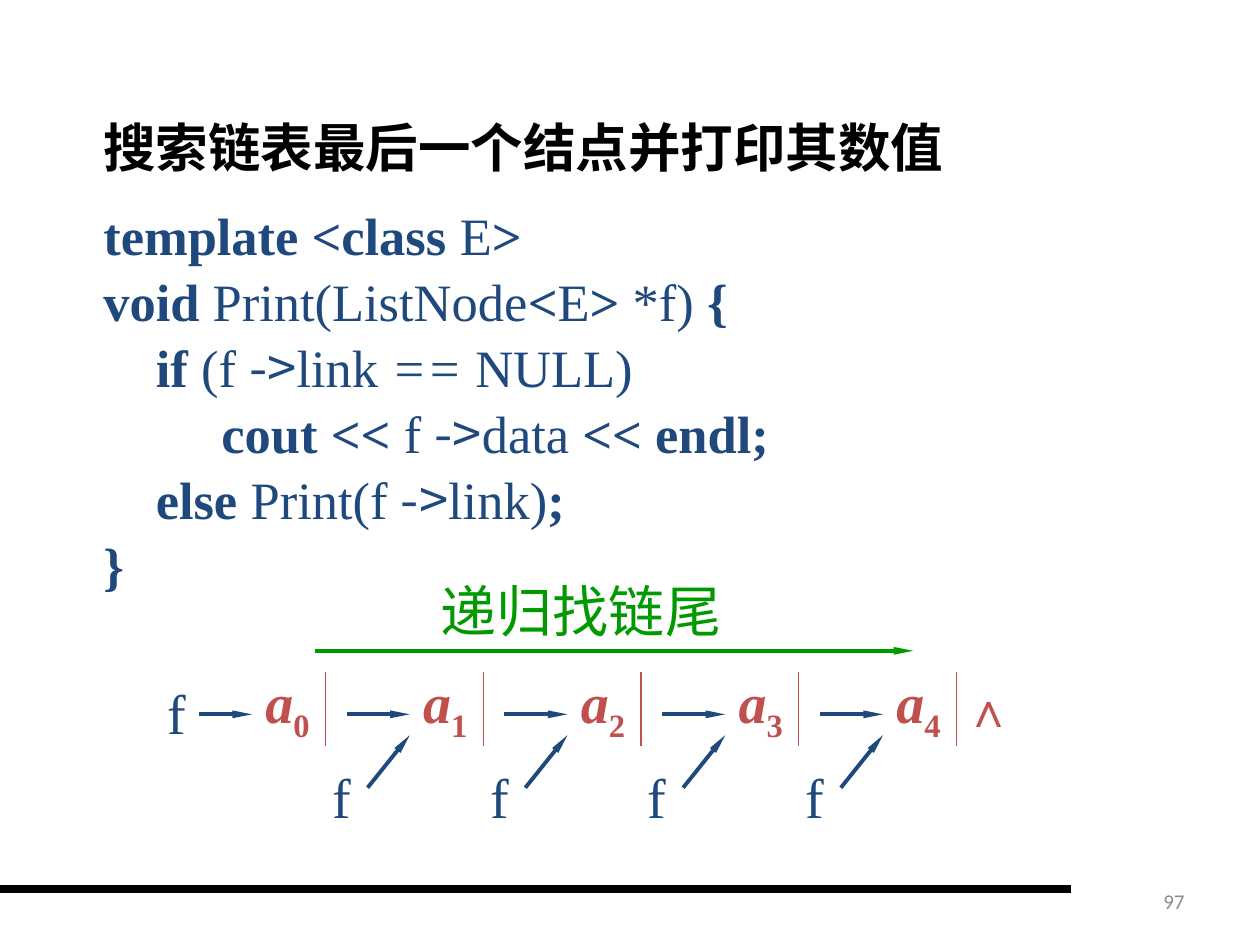
from lxml.etree import SubElement
from pptx import Presentation
from pptx.dml.color import RGBColor
from pptx.enum.shapes import MSO_CONNECTOR
from pptx.enum.text import MSO_ANCHOR as Anchor, MSO_AUTO_SIZE as AutoSize, PP_ALIGN as Align
from pptx.oxml.ns import qn
from pptx.util import Cm, Pt

COLORS = {
    "black": "000000",
    "navy": "1F497D",
    "red": "C0504D",
    "green": "009900",
    "gray": "8C8C8C",
}
SERIF = "Times New Roman"
SANS = "Noto Sans CJK SC"
NODE_COUNT = 5
NODE_PITCH = 3.18
LINK_Y = 14.4

CODE = [
    [("template <class ", "b"), ("E", ""), (">", "b")],
    [("void", "b"), (" Print(ListNode", ""), ("<", "b"), ("E", ""), (">", "b"),
     (" *f) ", ""), ("{", "b")],
    [("    if", "b"), (" (f ", ""), ("->", "s"), ("link ", ""), ("==", "i"), (" NULL)", "")],
    [("         ", ""), ("cout <<", "b"), (" f ", ""), ("->", "s"), ("data ", ""),
     ("<< endl;", "b")],
    [("    else ", "b"), ("Print(f ", ""), ("->", "s"), ("link)", ""), (";", "b")],
    [("}", "b")],
]


def add_run(paragraph, text, size=32, color="navy", name=SERIF, bold=False,
            italic=False, baseline=None):
    run = paragraph.add_run()
    run.text = text
    font = run.font
    font.size = Pt(size)
    font.bold = bold
    font.italic = italic
    font.color.rgb = RGBColor.from_string(COLORS[color])
    font.name = name
    properties = run._r.get_or_add_rPr()
    SubElement(properties, qn("a:ea")).set("typeface", SANS)
    if baseline:
        properties.set("baseline", str(baseline))


class SlideBuilder:
    def __init__(self, slide):
        self.slide = slide

    def place(self, shape, left, top, width, height):
        shape.left, shape.top = Cm(left), Cm(top)
        shape.width, shape.height = Cm(width), Cm(height)
        frame = shape.text_frame
        frame.auto_size = AutoSize.NONE
        frame.vertical_anchor = Anchor.TOP
        return frame

    def title(self, text, *box):
        paragraph = self.place(self.slide.shapes.title, *box).paragraphs[0]
        paragraph.alignment = Align.LEFT
        paragraph.line_spacing = 1.05
        add_run(paragraph, text, size=30, color="black", name=SANS, bold=True)

    def code(self, lines, *box):
        frame = self.place(self.slide.placeholders[1], *box)
        for index, pieces in enumerate(lines):
            paragraph = frame.add_paragraph() if index else frame.paragraphs[0]
            properties = paragraph._p.get_or_add_pPr()
            properties.set("marL", "0")
            properties.set("indent", "0")
            SubElement(properties, qn("a:buNone"))
            paragraph.space_before = Pt(0)
            paragraph.line_spacing = Pt(37.7)
            for text, style in pieces:
                add_run(paragraph, text, size=30, bold=style == "b", italic=style == "i",
                        name=SANS if style == "s" else SERIF)

    def text(self, text, left, top, width, height, wrap=False, align=Align.LEFT,
             anchor=Anchor.TOP, subscript="", **style):
        shape = self.slide.shapes.add_textbox(0, 0, 0, 0)
        frame = self.place(shape, left, top, width, height)
        frame.word_wrap = wrap
        frame.vertical_anchor = anchor
        paragraph = frame.paragraphs[0]
        paragraph.alignment = align
        add_run(paragraph, text, **style)
        if subscript:
            add_run(paragraph, subscript, **{**style, "italic": False, "baseline": -25000})

    def line(self, x1, y1, x2, y2, color="navy", weight=2.25, arrow=True):
        connector = self.slide.shapes.add_connector(
            MSO_CONNECTOR.STRAIGHT, Cm(x1), Cm(y1), Cm(x2), Cm(y2))
        connector.line.color.rgb = RGBColor.from_string(COLORS[color])
        connector.line.width = Pt(weight)
        if arrow:
            tail = SubElement(connector.line._get_or_add_ln(), qn("a:tailEnd"))
            for key, value in (("type", "triangle"), ("w", "sm"), ("len", "lg")):
                tail.set(key, value)
        SubElement(connector._element.spPr, qn("a:effectLst"))

    def node(self, index):
        shift = index * NODE_PITCH
        self.text("a", 5.1 + shift, 13.33, 1.45, 1.6, subscript=str(index),
                  color="red", bold=True, italic=True)
        self.line(6.56 + shift, 13.55, 6.56 + shift, 15.04,
                  color="red", weight=0.75, arrow=False)

    def link(self, index):
        shift = index * NODE_PITCH
        self.line(6.99 + shift, LINK_Y, 8.26 + shift, LINK_Y)
        self.line(7.41 + shift, 15.88, 8.26 + shift, 14.82)
        self.text("f", 6.45 + shift, 15.24, 1.17, 1.6)


def main():
    presentation = Presentation()
    presentation.slide_width, presentation.slide_height = Cm(25.4), Cm(19.05)
    builder = SlideBuilder(presentation.slides.add_slide(presentation.slide_layouts[1]))

    builder.line(0, 17.93, 21.59, 17.93, color="black", weight=4.5, arrow=False)
    builder.text("97", 18.21, 17.65, 5.92, 1.02, wrap=True, align=Align.RIGHT,
                 anchor=Anchor.MIDDLE, size=12, color="gray", name="Calibri")
    builder.title("搜索链表最后一个结点并打印其数值", 1.83, 2.13, 21.39, 1.78)
    builder.code(CODE, 1.83, 3.91, 21.39, 8.25)

    builder.text("递归找链尾", 8.64, 11.5, 6.15, 1.6, color="green")
    builder.line(6.35, 13.12, 18.41, 13.12, color="green")
    builder.text("f", 3.12, 13.55, 1.17, 1.6)
    builder.line(4.02, LINK_Y, 5.08, LINK_Y)
    for index in range(NODE_COUNT):
        builder.node(index)
    for index in range(NODE_COUNT - 1):
        builder.link(index)
    builder.text("∧", 19.2, 13.55, 1.12, 1.45, size=28, color="red", bold=True)

    presentation.save("out.pptx")


if __name__ == "__main__":
    main()
